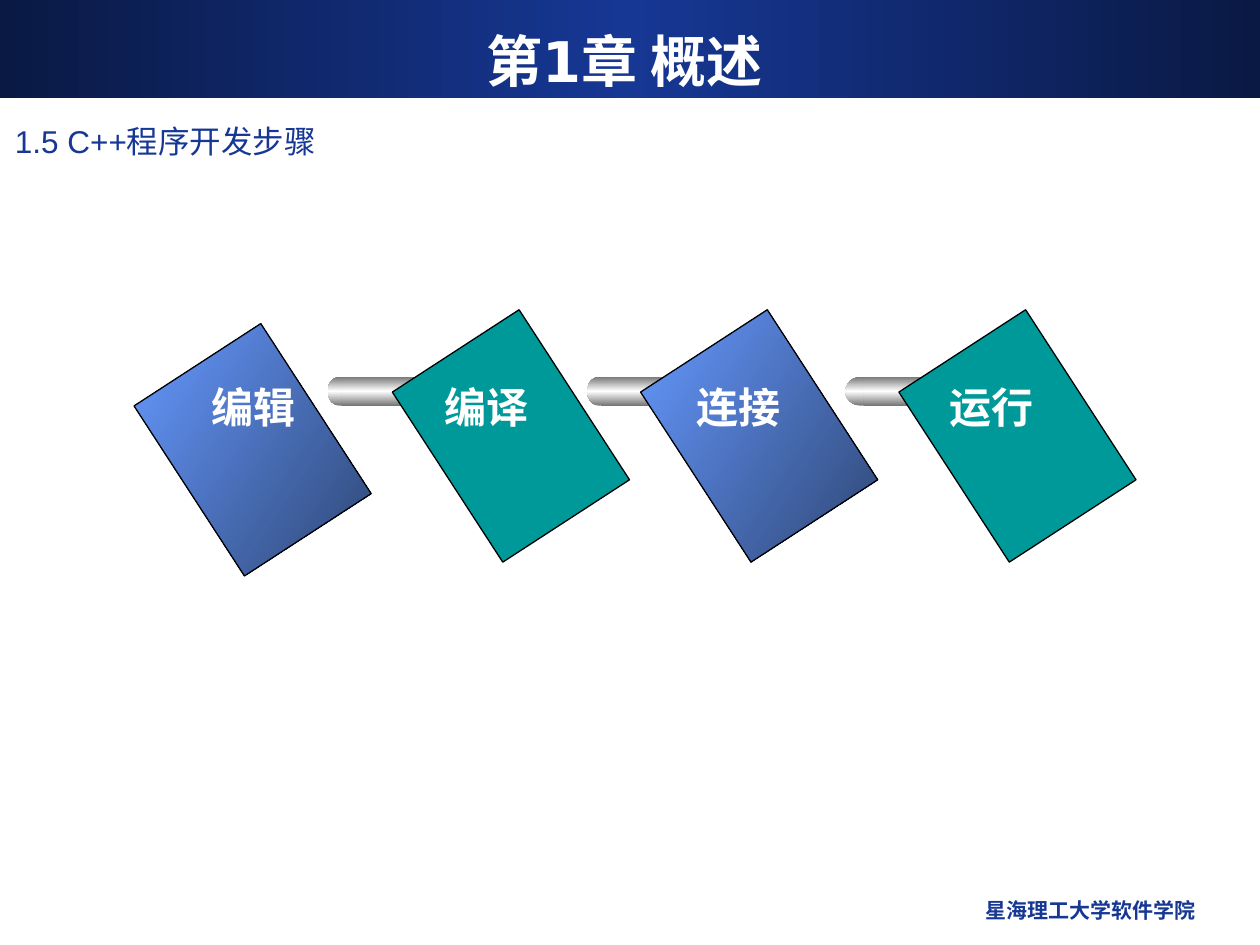
import pptx
import pptx.util
from lxml import etree
from pptx.dml.color import RGBColor
from pptx.enum.shapes import MSO_SHAPE
from pptx.enum.text import MSO_ANCHOR, MSO_AUTO_SIZE, PP_ALIGN
from pptx.oxml.ns import qn
from pptx.util import Inches

NAVY, WHITE, BLACK = "163794", "FFFFFF", "000000"
BAND = {"stops": ["0A1944", NAVY, "0A1944"], "angle": 0}
METAL = {"stops": ["767676", WHITE, "767676"], "angle": 90}
BLUE = {"stops": ["6699FF", "2F4776"], "angle": 33}
TEAL = "009999"

TITLE = "第1章 概述"
HEADING = "1.5 C++程序开发步骤"
FOOTER = "星海理工大学软件学院"

# label, label left, label width, card left, card top, card fill
STEPS = [
    ("编辑", 1.58, 1.0, 1.2, 2.97, BLUE),
    ("编译", 3.43, 1.1, 3.25, 2.86, TEAL),
    ("连接", 5.43, 0.97, 5.22, 2.86, BLUE),
    ("运行", 7.44, 1.07, 7.27, 2.86, TEAL),
]
CARD_SIZE = (1.61, 1.2)
CARD_TURN = 57
LABEL_TOP, LABEL_HEIGHT = 2.98, 0.5

# rod left and horizontal stretch, one rod after each step but the last
RODS = [(2.6, 1), (4.66, 1), (6.71, 1.29)]
# shape, offset from rod left, top, width, height, line
ROD_PARTS = [
    (MSO_SHAPE.OVAL, 0, 2.99, 0.19, 0.23, None),
    (MSO_SHAPE.RECTANGLE, 0.11, 2.99, 0.92, 0.23, None),
    (MSO_SHAPE.OVAL, 0.95, 3.0, 0.17, 0.22, (WHITE, 1)),
    (MSO_SHAPE.OVAL, 1.04, 3.07, 0.05, 0.06, None),
]


def color(value):
    return RGBColor.from_string(value)


def fill_gradient(shape, stops, angle):
    """Spread the stops evenly at an angle that ignores the shape's rotation."""
    shape.fill.gradient()
    gradient = shape._element.spPr.find(qn("a:gradFill"))
    gradient.set("rotWithShape", "0")
    stop_list = gradient.find(qn("a:gsLst"))
    for stop in list(stop_list):
        stop_list.remove(stop)
    for index, value in enumerate(stops):
        position = str(100000 * index // (len(stops) - 1))
        stop = etree.SubElement(stop_list, qn("a:gs"), pos=position)
        etree.SubElement(stop, qn("a:srgbClr"), val=value)
    gradient.find(qn("a:lin")).set("ang", str(angle * 60000))


def add_block(page, kind, place, fill, line=None, rotation=0):
    shape = page.shapes.add_shape(kind, *map(Inches, place))
    shape.shadow.inherit = False
    shape.rotation = rotation
    if isinstance(fill, dict):
        fill_gradient(shape, **fill)
    else:
        shape.fill.solid()
        shape.fill.fore_color.rgb = color(fill)
    if line:
        shape.line.color.rgb = color(line[0])
        shape.line.width = pptx.util.Pt(line[1])
    else:
        shape.line.fill.background()


def write(box, text, size, font, tint, bold=False, align=PP_ALIGN.LEFT, **frame_format):
    frame = box.text_frame
    for name, value in {"word_wrap": True, **frame_format}.items():
        setattr(frame, name, value)
    para = frame.paragraphs[0]
    para.alignment = align
    span = para.add_run()
    span.text = text
    for name, value in {"size": pptx.util.Pt(size), "name": font, "bold": bold}.items():
        setattr(span.font, name, value)
    span.font.color.rgb = color(tint)


def add_text(page, place, *content, **text_format):
    write(page.shapes.add_textbox(*map(Inches, place)), *content, **text_format)


def add_title(page):
    title = page.shapes.title
    place = {"left": 0.33, "top": 0.17, "width": 9.25, "height": 0.62}
    for name, value in place.items():
        setattr(title, name, Inches(value))
    write(title, TITLE, 32, "DejaVu Sans", WHITE, bold=True, align=PP_ALIGN.CENTER,
          vertical_anchor=MSO_ANCHOR.MIDDLE, auto_size=MSO_AUTO_SIZE.NONE)
    page.shapes._spTree.append(title._element)  # bring in front of the band


def add_rod(page, left, stretch):
    for kind, offset, top, width, height, line in ROD_PARTS:
        place = (left + offset * stretch, top, width * stretch, height)
        add_block(page, kind, place, METAL, line)


def main():
    deck = pptx.Presentation()
    deck.slide_width, deck.slide_height = Inches(10), Inches(7.5)
    page = deck.slides.add_slide(deck.slide_layouts[5])

    add_block(page, MSO_SHAPE.RECTANGLE, (0, 0, 10, 0.78), BAND)
    add_text(page, (6.42, 7.07, 3.17, 0.35), FOOTER, 12, "DejaVu Sans", NAVY,
             bold=True, align=PP_ALIGN.RIGHT)
    add_text(page, (0.02, 0.92, 9.25, 0.33), HEADING, 18, "Arial", NAVY)
    add_title(page)

    for index, (_, _, _, left, top, fill) in enumerate(STEPS):
        add_block(page, MSO_SHAPE.RECTANGLE, (left, top, *CARD_SIZE), fill,
                  (BLACK, 0.75), CARD_TURN)
        if index < len(RODS):
            add_rod(page, *RODS[index])
    for label, left, width, *_ in STEPS:
        add_text(page, (left, LABEL_TOP, width, LABEL_HEIGHT), label, 24, "Arial",
                 WHITE, bold=True, auto_size=MSO_AUTO_SIZE.SHAPE_TO_FIT_TEXT)
    deck.save("out.pptx")


if __name__ == "__main__":
    main()
